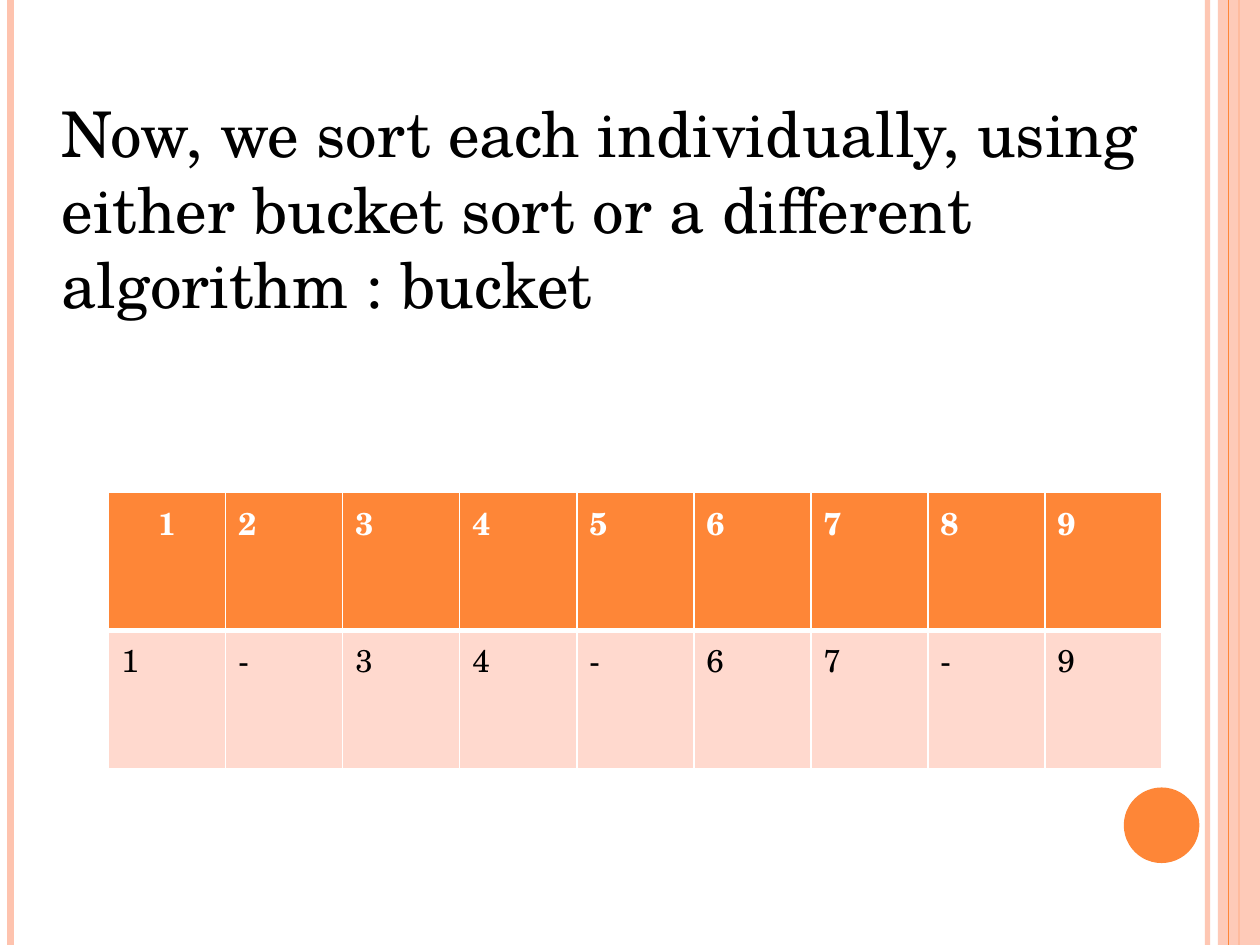
"""Build a slide that shows the bucket sort table under its explanation."""
from lxml import etree
from pptx import Presentation
from pptx.dml.color import RGBColor
from pptx.enum.shapes import MSO_CONNECTOR, MSO_SHAPE
from pptx.enum.text import MSO_AUTO_SIZE, PP_ALIGN
from pptx.oxml.ns import qn
from pptx.util import Pt

STRAIGHT = MSO_CONNECTOR.STRAIGHT
RECTANGLE, OVAL = MSO_SHAPE.RECTANGLE, MSO_SHAPE.OVAL
LEFT, CENTER = PP_ALIGN.LEFT, PP_ALIGN.CENTER
GROW = MSO_AUTO_SIZE.SHAPE_TO_FIT_TEXT

WIDTH, HEIGHT = 720, 540
ORANGE, PEACH, PALE = "FE8637", "FEC3AE", "FFD9CE"
WHITE, BLACK = "FFFFFF", "000000"
EXPLANATION = ("Now, we sort each individually, using either bucket sort "
               "or a different algorithm : bucket")
BUCKETS = "123456789"
CONTENTS = "1-34-67-9"


def color(value):
    return RGBColor.from_string(value)


def set_alpha(properties, percent):
    fill_color = next(properties.iter(qn("a:srgbClr")))
    etree.SubElement(fill_color, qn("a:alpha"), val=str(percent * 1000))


def write(frame, text, font, size=18, ink=BLACK, bold=False, align=LEFT):
    para = frame.paragraphs[0]
    para.alignment = align
    span = para.add_run()
    span.text = text
    span.font.name = font
    span.font.size = Pt(size)
    span.font.bold = bold
    span.font.color.rgb = color(ink)


def set_borders(cell, widths):
    properties = cell._tc.get_or_add_tcPr()
    for index, (side, width) in enumerate(widths.items()):
        line = etree.Element(qn(f"a:ln{side}"), w=str(Pt(width)))
        fill = etree.SubElement(line, qn("a:solidFill"))
        etree.SubElement(fill, qn("a:srgbClr"), val=WHITE)
        properties.insert(index, line)


class Painter:
    """Hold the font and the current page, and draw elements on it."""

    def __init__(self, page, font):
        self.page = page
        self.font = font

    def stripe(self, x, width, ink, opacity=100):
        line = self.page.shapes.add_connector(STRAIGHT, Pt(x), 0, Pt(x), Pt(HEIGHT))
        line.line.color.rgb = color(ink)
        line.line.width = Pt(width)
        properties = line._element.spPr
        if opacity < 100:
            set_alpha(properties, opacity)
        etree.SubElement(properties, qn("a:effectLst"))

    def shape(self, kind, x, y, width, height, ink, opacity=100):
        shape = self.page.shapes.add_shape(kind, Pt(x), Pt(y), Pt(width), Pt(height))
        shape.shadow.inherit = False
        shape.fill.solid()
        shape.fill.fore_color.rgb = color(ink)
        shape.line.fill.background()
        if opacity < 100:
            set_alpha(shape._element.spPr, opacity)

    def text(self, x, y, width, height, text, **style):
        box = self.page.shapes.add_textbox(Pt(x), Pt(y), Pt(width), Pt(height))
        box.text_frame.word_wrap = True
        box.text_frame.auto_size = GROW
        write(box.text_frame, text, self.font, **style)

    def table(self, x, y, width, height, header, values):
        count = len(header)
        table = self.page.shapes.add_table(
            2, count, Pt(x), Pt(y), Pt(width), Pt(height)).table
        for column in table.columns:
            column.width = Pt(width / count)
        rows = [
            (header, ORANGE, dict(ink=WHITE, bold=True), dict(L=1, R=1, T=1, B=3)),
            (values, PALE, dict(ink=BLACK), dict(L=1, R=1, T=3, B=1)),
        ]
        for row, (texts, fill, style, borders) in enumerate(rows):
            for column, text in enumerate(texts):
                cell = table.cell(row, column)
                cell.fill.solid()
                cell.fill.fore_color.rgb = color(fill)
                set_borders(cell, borders)
                align = CENTER if row == column == 0 else LEFT
                write(cell.text_frame, text, self.font, align=align, **style)


def main():
    deck = Presentation()
    deck.slide_width, deck.slide_height = Pt(WIDTH), Pt(HEIGHT)
    page = deck.slides.add_slide(deck.slide_layouts[6])
    painter = Painter(page, "TeX Gyre Schola")

    painter.stripe(690, 3, PEACH, opacity=93)
    painter.stripe(6, 4.5, PEACH)
    painter.stripe(708, 1.5, ORANGE)
    painter.shape(RECTANGLE, 696, 0, 24, HEIGHT, PEACH, opacity=87)
    painter.stripe(702, 0.75, ORANGE)
    painter.shape(OVAL, 642.2, 450, 43.2, 43.2, ORANGE)

    painter.text(28.1, 50.4, 646.6, 138.2, EXPLANATION, size=36)
    painter.table(62.1, 281.5, 601.9, 157.5, BUCKETS, CONTENTS)
    deck.save("out.pptx")


if __name__ == "__main__":
    main()
